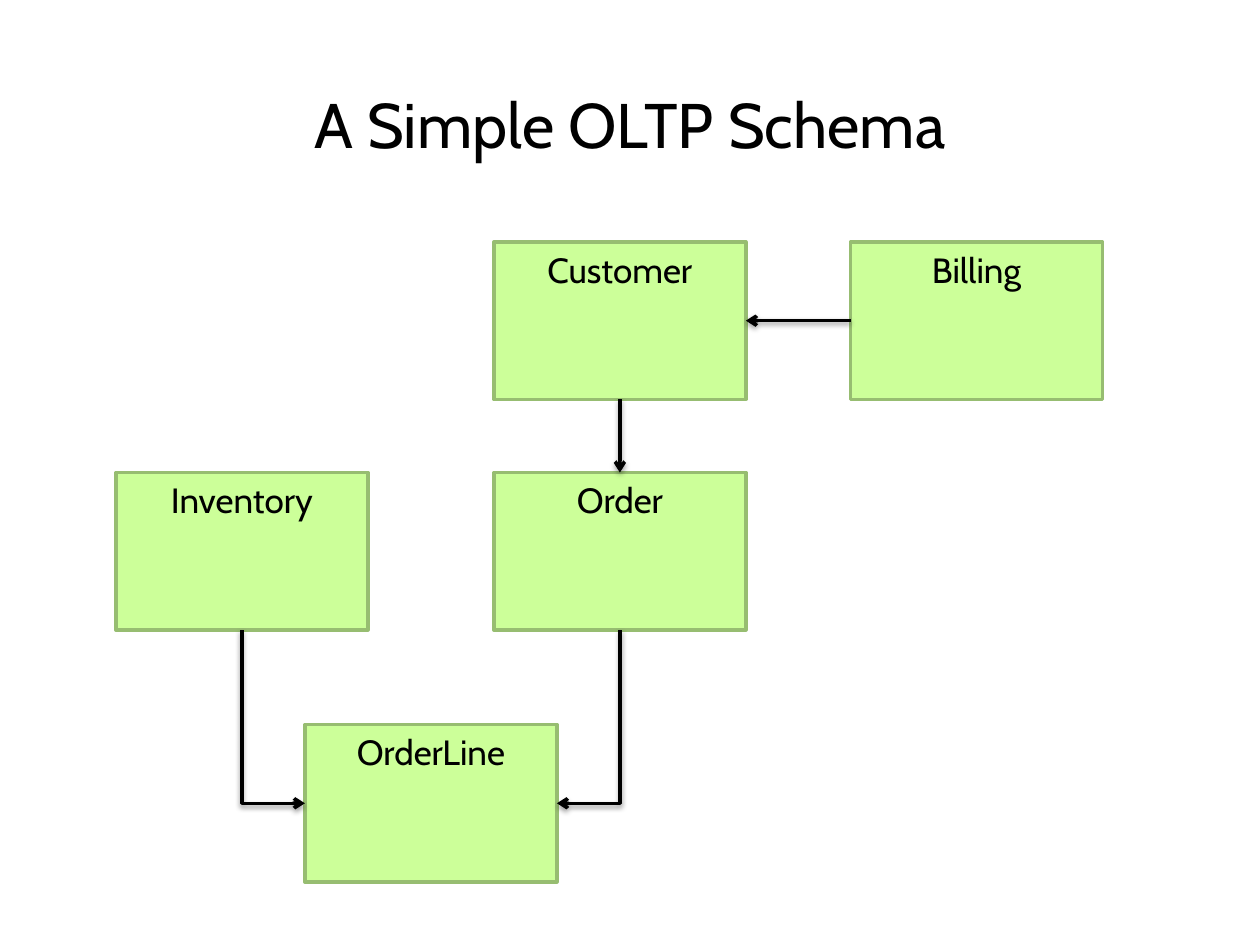
from dataclasses import dataclass

from lxml import etree
from pptx import Presentation
from pptx.dml.color import RGBColor
from pptx.enum.shapes import MSO_CONNECTOR as CONN, MSO_SHAPE as SHAPE
from pptx.enum.text import MSO_ANCHOR as ANCHOR, PP_ALIGN as ALIGN
from pptx.oxml import parse_xml
from pptx.oxml.ns import nsdecls, qn
from pptx.util import Inches, Pt


@dataclass(frozen=True)
class Theme:
    font: str = "Cabin"
    ink: str = "000000"
    fill: str = "CCFF99"
    border: str = "97BD71"
    title_size: int = 36
    label_size: int = 20
    line_width: int = 2


THEME = Theme()
BOX_W, BOX_H = 2, 1.25
LEFT, BOTTOM, RIGHT = 1, 2, 3

TABLES = {
    "Customer": (3.92, 1.92),
    "Billing": (6.75, 1.92),
    "Order": (3.92, 3.75),
    "Inventory": (0.92, 3.75),
    "OrderLine": (2.42, 5.75),
}

STRAIGHT_LINKS = [
    ("Customer", BOTTOM, "Order", 0),
    ("Billing", LEFT, "Customer", RIGHT),
]

BENT_LINKS = [
    ("Inventory", BOTTOM, "OrderLine", LEFT),
    ("Order", BOTTOM, "OrderLine", RIGHT),
]


def rgb(value):
    return RGBColor.from_string(value)


def set_text(shape, text, size, anchor):
    tf = shape.text_frame
    tf.word_wrap = True
    tf.vertical_anchor = anchor
    p = tf.paragraphs[0]
    p.alignment = ALIGN.CENTER
    r = p.add_run()
    r.text = text
    for name, value in {"name": THEME.font, "size": Pt(size)}.items():
        setattr(r.font, name, value)
    r.font.color.rgb = rgb(THEME.ink)


def set_line(line, color):
    line.color.rgb = rgb(color)
    line.width = Pt(THEME.line_width)


def add_title(s, text):
    sp = s.shapes.add_textbox(Inches(0), Inches(0.6), Inches(10), Inches(0.75))
    set_text(sp, text, THEME.title_size, ANCHOR.MIDDLE)


def add_box(s, name, left, top):
    sp = s.shapes.add_shape(
        SHAPE.RECTANGLE, Inches(left), Inches(top), Inches(BOX_W), Inches(BOX_H)
    )
    sp.shadow.inherit = False
    sp.fill.solid()
    sp.fill.fore_color.rgb = rgb(THEME.fill)
    set_line(sp.line, THEME.border)
    set_text(sp, name, THEME.label_size, ANCHOR.TOP)
    return sp


def add_arrow(s, kind, start, start_site, end, end_site):
    cx = s.shapes.add_connector(kind, 0, 0, 0, 0)
    cx.begin_connect(start, start_site)
    cx.end_connect(end, end_site)
    set_line(cx.line, THEME.ink)
    ln = cx.line._get_or_add_ln()
    etree.SubElement(ln, qn("a:tailEnd"), type="arrow")
    ln.addnext(parse_xml(
        f'<a:effectLst {nsdecls("a")}>'
        f'<a:outerShdw blurRad="{Pt(3.1)}" dist="{Pt(1.6)}" dir="5400000" rotWithShape="0">'
        f'<a:srgbClr val="{THEME.ink}"><a:alpha val="38000"/></a:srgbClr>'
        '</a:outerShdw></a:effectLst>'
    ))
    return cx


def bend_once(cx):
    dx, dy = cx.end_x - cx.begin_x, cx.end_y - cx.begin_y
    mid_x, mid_y = cx.begin_x + dx // 2, cx.begin_y + dy // 2
    pr = cx._element.spPr
    pr.find(qn("a:prstGeom")).set("prst", "bentConnector2")
    xfrm = pr.find(qn("a:xfrm"))
    xfrm.attrib.clear()
    xfrm.set("rot", str((270 if dx > 0 else 90) * 60000))
    if dx > 0:
        xfrm.set("flipH", "1")
    frame = {
        "left": mid_x - dy // 2,
        "top": mid_y - abs(dx) // 2,
        "width": dy,
        "height": abs(dx),
    }
    for name, value in frame.items():
        setattr(cx, name, value)


def main():
    prs = Presentation()
    prs.slide_width, prs.slide_height = Inches(10), Inches(7.5)
    s = prs.slides.add_slide(prs.slide_layouts[6])
    boxes = {name: add_box(s, name, *at) for name, at in TABLES.items()}
    for start, start_site, end, end_site in STRAIGHT_LINKS:
        add_arrow(s, CONN.STRAIGHT, boxes[start], start_site, boxes[end], end_site)
    for start, start_site, end, end_site in BENT_LINKS:
        bend_once(add_arrow(s, CONN.ELBOW, boxes[start], start_site, boxes[end], end_site))
    add_title(s, "A Simple OLTP Schema")
    prs.save("out.pptx")


if __name__ == "__main__":
    main()
